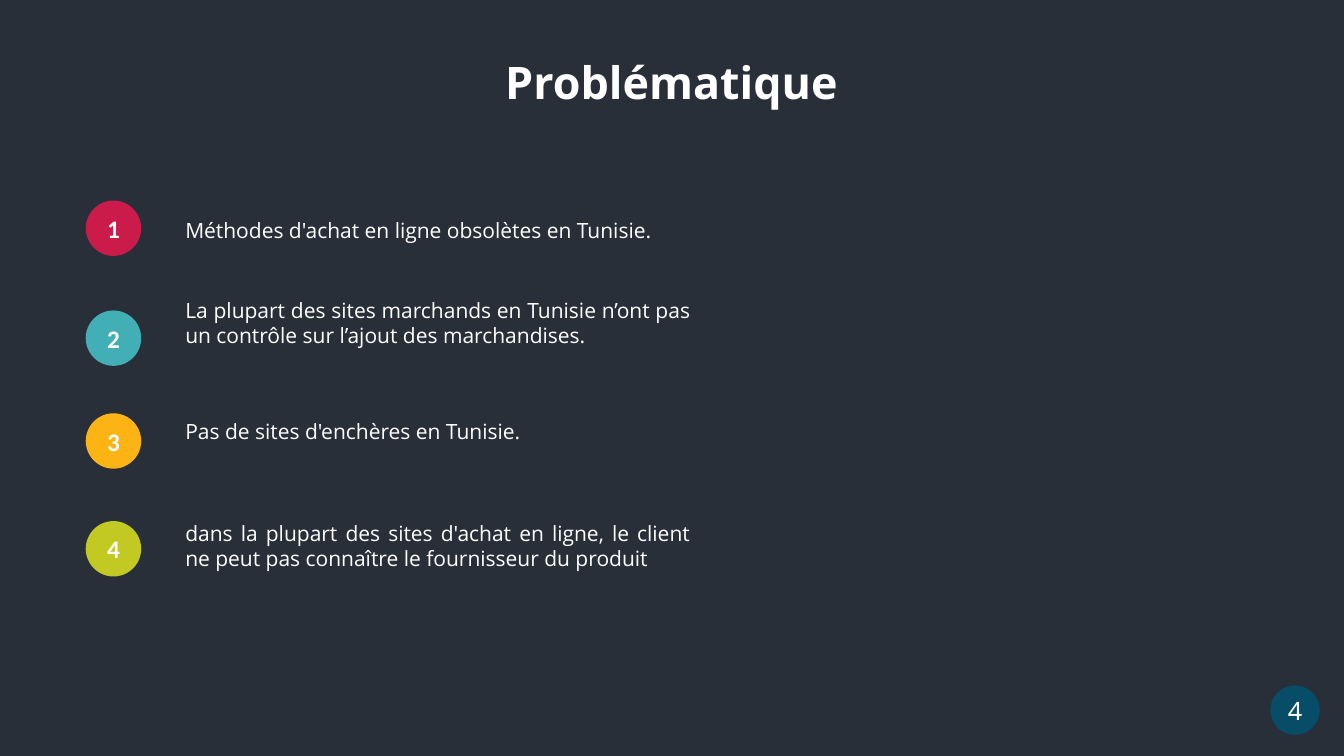
from dataclasses import dataclass

from pptx import Presentation
from pptx.dml.color import RGBColor
from pptx.enum.shapes import MSO_SHAPE
from pptx.enum.text import MSO_ANCHOR, MSO_AUTO_SIZE, PP_ALIGN
from pptx.util import Inches, Pt

WHITE = "FFFFFF"

# Lengths below are percentages of the slide's width or height
MARGIN = 6.38
TEXT_LEFT, TEXT_WIDTH = 13.05, 39.08
ONE_LINE, TWO_LINES = 4.67, 8.13


@dataclass(frozen=True)
class Box:
    left: float
    top: float
    width: float
    height: float

    def emu(self) -> tuple[int, int, int, int]:
        across, down = deck.slide_width / 100, deck.slide_height / 100
        return (round(self.left * across), round(self.top * down),
                round(self.width * across), round(self.height * down))


@dataclass(frozen=True)
class Problem:
    statement: str
    color: str
    disc_top: float
    text_top: float
    text_height: float


PROBLEMS = [
    Problem("Méthodes d'achat en ligne obsolètes en Tunisie.",
            "CB1B4A", 26.53, 28.13, ONE_LINE),
    Problem("La plupart des sites marchands en Tunisie n’ont pas un contrôle "
            "sur l’ajout des marchandises.",
            "42AFB6", 41.07, 38.67, TWO_LINES),
    Problem("Pas de sites d'enchères en Tunisie.",
            "FCB414", 54.67, 54.67, ONE_LINE),
    Problem("dans la plupart des sites d'achat en ligne, le client ne peut pas "
            "connaître le fournisseur du produit",
            "C2C923", 68.93, 68.13, TWO_LINES),
]


def paint(fill, color: str) -> None:
    fill.solid()
    fill.fore_color.rgb = RGBColor.from_string(color)


def write(frame, words: str, font: str, size: float,
          align: PP_ALIGN, bold: bool = False) -> None:
    paragraph = frame.paragraphs[0]
    paragraph.alignment = align
    run = paragraph.add_run()
    run.text = words
    run.font.name = font
    run.font.size = Pt(size)
    run.font.bold = bold
    paint(run.font.fill, WHITE)


def add_disc(box: Box, color: str, number: str, font: str,
             bold: bool, wrap: bool) -> None:
    disc = slide.shapes.add_shape(MSO_SHAPE.OVAL, *box.emu())
    disc.shadow.inherit = False
    paint(disc.fill, color)
    disc.line.fill.background()
    disc.text_frame.word_wrap = wrap
    disc.text_frame.vertical_anchor = MSO_ANCHOR.MIDDLE
    write(disc.text_frame, number, font, 18, PP_ALIGN.CENTER, bold)


def add_statement(box: Box, words: str) -> None:
    statement = slide.shapes.add_textbox(*box.emu()).text_frame
    statement.word_wrap = True
    statement.auto_size = MSO_AUTO_SIZE.SHAPE_TO_FIT_TEXT
    write(statement, words, "Open Sans", 15, PP_ALIGN.JUSTIFY)


# Slide and background
deck = Presentation()
deck.slide_width, deck.slide_height = Inches(13.33), Inches(7.5)
slide = deck.slides.add_slide(deck.slide_layouts[5])
paint(slide.background.fill, "282F39")

# Title
title = slide.shapes.title
title.left, title.top, title.width, title.height = Box(
    MARGIN, 6.53, 87.17, 8.53).emu()
title.text_frame.word_wrap = True
title.text_frame.auto_size = MSO_AUTO_SIZE.SHAPE_TO_FIT_TEXT
title.text_frame.vertical_anchor = MSO_ANCHOR.TOP
write(title.text_frame, "Problématique", "Noto Sans", 32, PP_ALIGN.CENTER, True)

# Numbered problems
for number, problem in enumerate(PROBLEMS, start=1):
    add_disc(Box(MARGIN, problem.disc_top, 4.13, 7.33), problem.color,
             str(number), "Calibri", bold=True, wrap=True)
    add_statement(Box(TEXT_LEFT, problem.text_top, TEXT_WIDTH,
                      problem.text_height), problem.statement)

# Page number
add_disc(Box(94.52, 90.67, 3.68, 6.53), "074D67", "4", "Noto Sans",
         bold=False, wrap=False)

deck.save("out.pptx")
